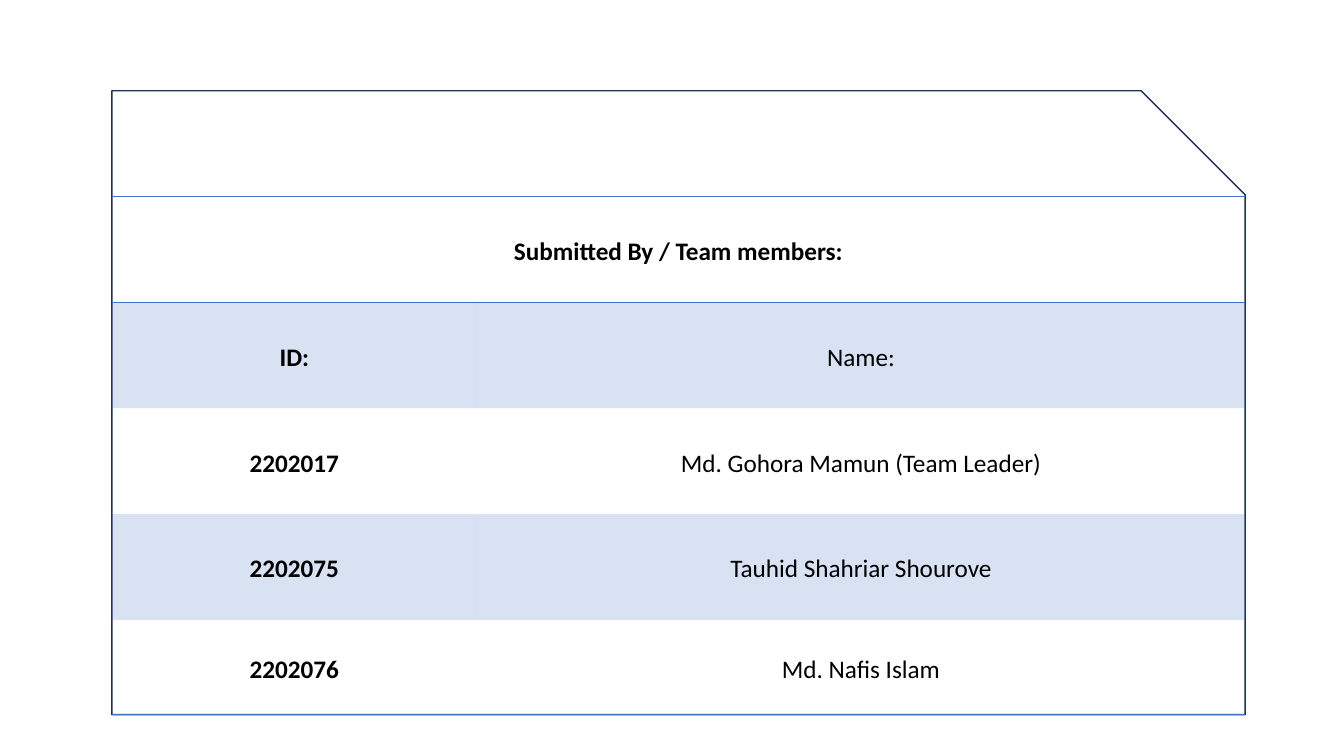
from lxml import etree
from pptx import Presentation
from pptx import util as u
from pptx.dml.color import RGBColor
from pptx.enum import shapes, text
from pptx.oxml import parse_xml
from pptx.oxml.ns import qn

BLUE = "4472C4"
DRAWING_NS = "http://schemas.openxmlformats.org/drawingml/2006/main"
NO_GRID_STYLE = "{2D5ABB26-0587-4C30-8999-92F81FD0307C}"


def color(hex_code):
    return RGBColor.from_string(hex_code)


def write(cell, words, size=18, bold=False, font="Calibri", ink="000000"):
    cell.vertical_anchor = text.MSO_ANCHOR.MIDDLE
    cell.margin_left = cell.margin_right = u.Inches(0.07)
    cell.margin_top = cell.margin_bottom = 0
    line = cell.text_frame.paragraphs[0]
    line.alignment = text.PP_ALIGN.CENTER
    line.line_spacing = 1.15
    run = line.add_run()
    run.text = words
    run.font.size = u.Pt(size)
    run.font.bold = bold
    run.font.name = font
    run.font.color.rgb = color(ink)


deck = Presentation()
deck.slide_width, deck.slide_height = u.Inches(13.33), u.Inches(7.5)
slide = deck.slides.add_slide(deck.slide_layouts[6])

# Grid: the frame has one empty row above the table
left, top = u.Inches(1.11), u.Inches(0.9)
columns = [u.Inches(3.62), u.Inches(7.62)]
row_height, last_height = u.Inches(1.05), u.Inches(0.94)
members = [
    ("ID:", "Name:"),
    ("2202017", "Md. Gohora Mamun (Team Leader)"),
    ("2202075", "Tauhid Shahriar Shourove"),
    ("2202076", "Md. Nafis Islam"),
]
width = sum(columns)
table_height = len(members) * row_height + last_height

# Frame with a snipped corner
frame = slide.shapes.add_shape(
    shapes.MSO_SHAPE.SNIP_1_RECTANGLE, left, top, width, row_height + table_height)
frame.shadow.inherit = False
frame.fill.background()
frame.line.color.rgb = color("1E3256")
frame.line.width = u.Pt(1)

# Team table
team_frame = slide.shapes.add_table(
    len(members) + 1, 2, left, top + row_height, width, table_height)
team = team_frame.table
team.horz_banding = team.first_row = False
team_frame._element.find(".//" + qn("a:tableStyleId")).text = NO_GRID_STYLE
for column, column_width in zip(team.columns, columns):
    column.width = column_width
for row in team.rows:
    row.height = row_height
team.rows[len(members)].height = last_height

# Heading and members
team.cell(0, 0).merge(team.cell(0, 1))
write(team.cell(0, 0), "Submitted By / Team members:", bold=True)
for r, (student_id, name) in enumerate(members, start=1):
    write(team.cell(r, 0), student_id, bold=True)
    write(team.cell(r, 1), name)

# Bands on odd rows, rules around the heading and below the last row
rules = {0: ["lnT", "lnB"], len(members): ["lnB"]}
for r in range(len(members) + 1):
    for c in range(2):
        cell = team.cell(r, c)
        if r % 2:
            cell.fill.solid()
            cell.fill.fore_color.rgb = color(BLUE)
            band = cell._tc.tcPr.find(".//" + qn("a:srgbClr"))
            etree.SubElement(band, qn("a:alpha"), val="20000")
        else:
            cell.fill.background()
        for position, side in enumerate(rules.get(r, [])):
            cell._tc.tcPr.insert(position, parse_xml(
                f'<a:{side} xmlns:a="{DRAWING_NS}" w="12700"><a:solidFill>'
                f'<a:srgbClr val="{BLUE}"/></a:solidFill></a:{side}>'))

deck.save("out.pptx")
